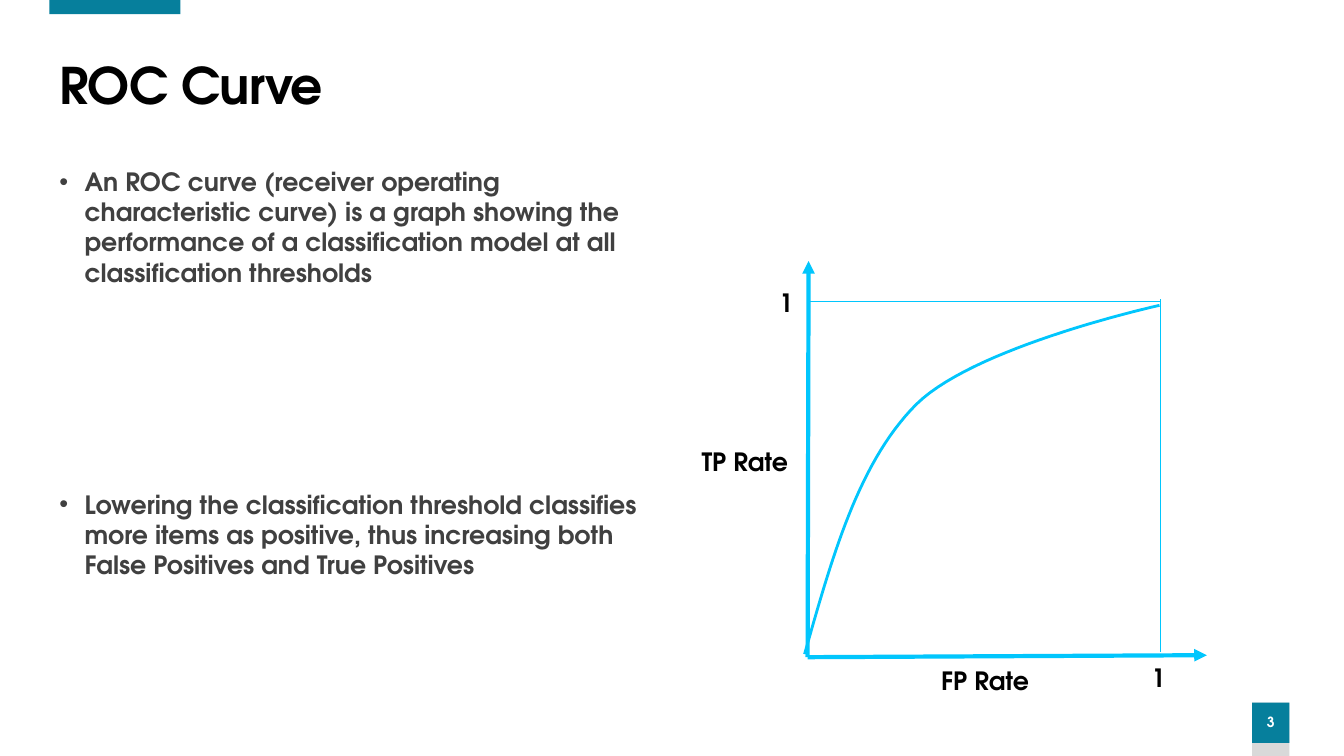
"""Build the ROC curve slide."""
from pptx import Presentation
from pptx.dml.color import RGBColor
from pptx.enum.shapes import MSO_CONNECTOR, MSO_SHAPE
from pptx.enum.text import MSO_ANCHOR as ANCHOR, MSO_AUTO_SIZE, PP_ALIGN as ALIGN
from pptx.oxml.ns import qn
from pptx.util import Inches, Pt
from lxml.etree import SubElement

FONT = "TeX Gyre Adventor"
COLORS = {"teal": "067F9C", "grey": "D9D9D9", "white": "FFFFFF",
          "black": "000000", "body": "404040", "cyan": "01C6FD"}
BULLETS = [
    "An ROC curve (receiver operating characteristic curve) is a graph showing "
    "the performance of a classification model at all classification thresholds",
    "Lowering the classification threshold classifies more items as positive, "
    "thus increasing both False Positives and True Positives",
]
BULLET_GAP = 144
CURVE = [
    [(7.98, 6.49), (8.25, 5.54), (8.51, 4.59), (9.09, 4.01)],
    [(9.09, 4.01), (9.68, 3.43), (11.5, 3.03), (11.5, 3.03)],
]
CURVE_STEPS = 30


def rgb(name):
    return RGBColor.from_string(COLORS[name])


def write(frame, *texts, size=18, color="black", align=ALIGN.LEFT, anchor=ANCHOR.TOP,
          spacing=1.0, gap=0, bullet=False, tracking=None):
    frame.word_wrap = True
    frame.auto_size = MSO_AUTO_SIZE.NONE
    frame.vertical_anchor = anchor
    for index, text in enumerate(texts):
        paragraph = frame.add_paragraph() if index else frame.paragraphs[0]
        if bullet:
            props = paragraph._p.get_or_add_pPr()
            props.set("marL", str(Inches(0.25)))
            props.set("indent", str(-Inches(0.25)))
            SubElement(props, qn("a:buFont"), typeface="Arial")
            SubElement(props, qn("a:buChar"), char="•")
        paragraph.alignment = align
        paragraph.line_spacing = spacing
        paragraph.space_before = Pt(gap if index else 0)
        run = paragraph.add_run()
        run.text = text
        run.font.name, run.font.size, run.font.bold = FONT, Pt(size), True
        run.font.color.rgb = rgb(color)
        if tracking:
            run._r.get_or_add_rPr().set("spc", str(round(tracking * 100)))


def add_block(slide, left, top, width, height, color):
    block = slide.shapes.add_shape(MSO_SHAPE.RECTANGLE, *map(Inches, (left, top, width, height)))
    block.shadow.inherit = False
    block.fill.solid()
    block.fill.fore_color.rgb = rgb(color)
    block.line.fill.background()
    return block


def add_text(slide, left, top, width, height, *texts, **style):
    box = slide.shapes.add_textbox(*map(Inches, (left, top, width, height)))
    write(box.text_frame, *texts, **style)


def add_line(slide, start, end, weight, arrow=False):
    line = slide.shapes.add_connector(MSO_CONNECTOR.STRAIGHT, *map(Inches, (*start, *end)))
    line.line.color.rgb = rgb("cyan")
    line.line.width = Pt(weight)
    if arrow:
        SubElement(line.line._get_or_add_ln(), qn("a:tailEnd"), type="triangle")
    SubElement(line._element.spPr, qn("a:effectLst"))


def bezier_point(controls, t):
    weights = ((1 - t) ** 3, 3 * t * (1 - t) ** 2, 3 * t ** 2 * (1 - t), t ** 3)
    return tuple(Inches(sum(w * c for w, c in zip(weights, axis))) for axis in zip(*controls))


def add_curve(slide, segments):
    points = [bezier_point(controls, step / CURVE_STEPS)
              for controls in segments for step in range(1, CURVE_STEPS + 1)]
    builder = slide.shapes.build_freeform(*map(Inches, segments[0][0]))
    builder.add_line_segments(points, close=False)
    curve = builder.convert_to_shape()
    curve.shadow.inherit = False
    curve.fill.background()
    curve.line.color.rgb = rgb("cyan")
    curve.line.width = Pt(2)


def add_page_frame(slide):
    add_block(slide, 12.42, 6.97, 0.37, 0.53, "grey")
    badge = add_block(slide, 12.42, 6.97, 0.37, 0.4, "teal").text_frame
    badge.margin_left = badge.margin_right = 0
    write(badge, "3", size=10, color="white", align=ALIGN.CENTER,
          anchor=ANCHOR.MIDDLE, spacing=0.9)
    add_block(slide, 0.49, 0, 1.3, 0.14, "teal")


def add_title(slide, text):
    title = slide.shapes.title
    title.left, title.top, title.width, title.height = map(Inches, (0.49, 0.55, 12.22, 0.65))
    write(title.text_frame, text, size=36, anchor=ANCHOR.MIDDLE, spacing=0.9, tracking=-0.6)


def add_roc_plot(slide):
    origin = (8.01, 6.52)
    add_line(slide, origin, (8.02, 2.59), 3, arrow=True)
    add_line(slide, origin, (11.97, 6.5), 3, arrow=True)
    add_text(slide, 6.86, 4.38, 1.16, 0.4, "TP Rate")
    add_text(slide, 8.9, 6.55, 1.74, 0.4, "FP Rate", align=ALIGN.CENTER)
    add_text(slide, 11.32, 6.52, 0.65, 0.4, "1")
    add_line(slide, (8.02, 2.99), (11.52, 2.99), 0.5)
    add_line(slide, (11.51, 2.97), (11.51, 6.47), 0.5)
    add_curve(slide, CURVE)
    add_text(slide, 7.63, 2.8, 0.65, 0.4, "1")


def main():
    deck = Presentation()
    deck.slide_width, deck.slide_height = Inches(13.33), Inches(7.5)
    slide = deck.slides.add_slide(deck.slide_layouts[5])
    add_page_frame(slide)
    add_title(slide, "ROC Curve")
    add_text(slide, 0.49, 1.6, 6.28, 5.22, *BULLETS, color="body", bullet=True, gap=BULLET_GAP)
    add_roc_plot(slide)
    deck.save("out.pptx")


if __name__ == "__main__":
    main()
